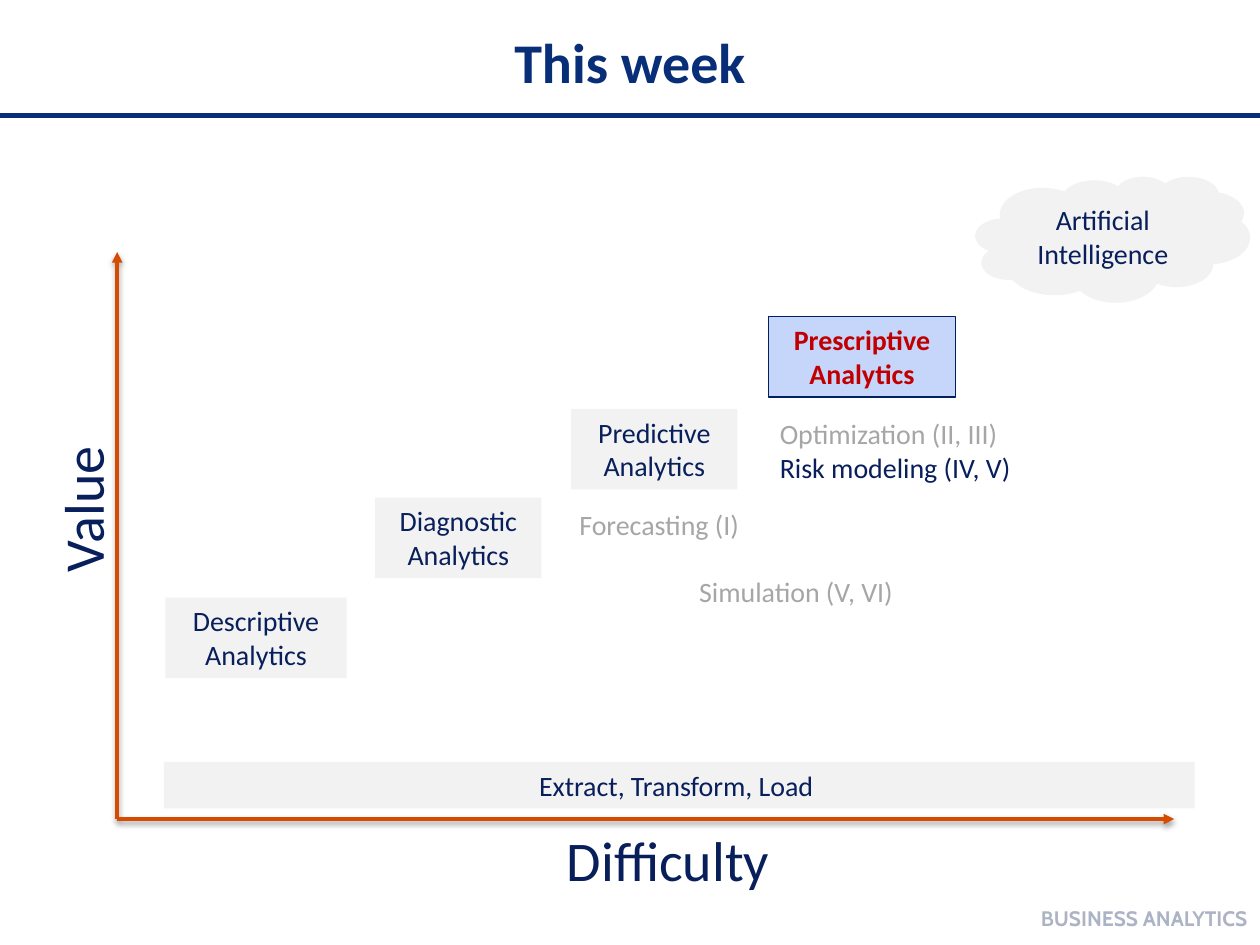
import pptx
import pptx.util
import pptx.dml.color
import pptx.enum.shapes
import pptx.enum.text
import pptx.oxml
import pptx.oxml.ns

Pt = pptx.util.Pt
RGBColor = pptx.dml.color.RGBColor
SHAPE = pptx.enum.shapes.MSO_SHAPE
ALIGN = pptx.enum.text.PP_ALIGN
ANCHOR = pptx.enum.text.MSO_ANCHOR

BLUE = RGBColor(0x09, 0x2E, 0x78)
NAVY = RGBColor(0x08, 0x1F, 0x5B)
FOOTER_NAVY = RGBColor(0x06, 0x19, 0x4C)
OUTLINE_NAVY = RGBColor(0x00, 0x20, 0x60)
ORANGE = RGBColor(0xD6, 0x4B, 0x00)
RED = RGBColor(0xC0, 0x00, 0x00)
PALE_BLUE = RGBColor(0xC6, 0xD5, 0xFA)
PALE_GREY = RGBColor(0xF2, 0xF2, 0xF2)
GREY = RGBColor(0xA6, 0xA6, 0xA6)

AXIS_SHADOW = (
    '<a:outerShdw blurRad="39370" dist="20320" dir="5400000" rotWithShape="0">'
    '<a:srgbClr val="000000"><a:alpha val="38000"/></a:srgbClr></a:outerShdw>'
)


def parse_drawing(tag, attributes="", content=""):
    namespace = pptx.oxml.ns.nsdecls("a")
    return pptx.oxml.parse_xml(f"<a:{tag} {namespace} {attributes}>{content}</a:{tag}>")


def write_lines(shape, lines, size, colors, bold=False, font="Calibri",
                align=ALIGN.LEFT, anchor=ANCHOR.TOP):
    frame = shape.text_frame
    frame.word_wrap = True
    frame.vertical_anchor = anchor
    frame.text = "\n".join(lines)
    for paragraph, color in zip(frame.paragraphs, colors):
        paragraph.alignment = align
        for run in paragraph.runs:
            run.font.name = font
            run.font.size = Pt(size)
            run.font.bold = bold
            run.font.color.rgb = color


def add_label(slide, box, lines, size, colors, **style):
    label = slide.shapes.add_textbox(*map(Pt, box))
    write_lines(label, lines, size, colors, **style)
    return label


def add_block(slide, box, text, kind=SHAPE.RECTANGLE, fill=PALE_GREY,
              outline=None, color=NAVY, bold=False, anchor=ANCHOR.TOP):
    block = slide.shapes.add_shape(kind, *map(Pt, box))
    block.shadow.inherit = False
    block.fill.solid()
    block.fill.fore_color.rgb = fill
    if outline is None:
        block.line.fill.background()
    else:
        block.line.color.rgb = outline
        block.line.width = Pt(0.75)
    write_lines(block, [text], 16, [color], bold=bold, align=ALIGN.CENTER, anchor=anchor)


def add_line(slide, start, end, color, width, effect=""):
    line = slide.shapes.add_connector(
        pptx.enum.shapes.MSO_CONNECTOR.STRAIGHT, *map(Pt, start + end))
    line.line.color.rgb = color
    line.line.width = Pt(width)
    line._element.spPr.append(parse_drawing("effectLst", content=effect))
    return line


def add_axis(slide, start, end):
    axis = add_line(slide, start, end, ORANGE, 2, AXIS_SHADOW)
    axis.line._get_or_add_ln().append(parse_drawing("tailEnd", 'type="triangle"'))


def add_header_and_footer(slide):
    add_line(slide, (0, 66.2), (720, 66.2), BLUE, 3)
    add_label(slide, (36, 12.2, 648, 45.4), ["This week"], 32, [BLUE],
              bold=True, align=ALIGN.CENTER, anchor=ANCHOR.MIDDLE)
    footer = add_label(slide, (480, 510, 240, 28.8), ["BUSINESS ANALYTICS"], 12,
                       [FOOTER_NAVY], bold=True, font="Cabin",
                       align=ALIGN.RIGHT, anchor=ANCHOR.MIDDLE)
    # Fade the footer to one third
    for color in footer._element.iter(pptx.oxml.ns.qn("a:srgbClr")):
        color.append(parse_drawing("alpha", 'val="33000"'))


def add_axes(slide):
    origin = (67, 468)
    add_axis(slide, origin, (67, 144))
    add_axis(slide, origin, (671, 468))
    value = add_label(slide, (-3.6, 260.6, 100.8, 46), ["Value"], 32, [NAVY])
    value.rotation = 270
    add_label(slide, (316.8, 468, 244, 46), ["Difficulty"], 32, [NAVY])


def main():
    presentation = pptx.Presentation()
    presentation.slide_width, presentation.slide_height = Pt(720), Pt(540)
    slide = presentation.slides.add_slide(presentation.slide_layouts[6])

    add_header_and_footer(slide)
    add_axes(slide)

    # Rising steps of analytics
    for name, left, top, width in (
        ("Descriptive", 94.5, 341.5, 103.7),
        ("Diagnostic", 214.4, 284.4, 95),
        ("Predictive", 326.4, 233.7, 95),
    ):
        add_block(slide, (left, top, width, 46), f"{name} Analytics")
    add_block(slide, (439, 180.9, 107.2, 46), "Prescriptive Analytics",
              fill=PALE_BLUE, outline=OUTLINE_NAVY, color=RED, bold=True)

    # Data foundation and the distant goal
    add_block(slide, (93.7, 435.4, 589, 26.6), "Extract, Transform, Load ")
    add_block(slide, (557.3, 100.8, 157, 72), "Artificial Intelligence",
              kind=SHAPE.CLOUD, anchor=ANCHOR.MIDDLE)

    # Course topics
    add_label(slide, (324, 286.6, 139.7, 46), ["Forecasting (I)"], 16, [GREY])
    add_label(slide, (438.5, 234.7, 167, 85),
              ["Optimization (II, III)", "Risk modeling (IV, V)"], 16, [GREY, NAVY])
    add_label(slide, (392.4, 324.7, 167, 26.6), ["Simulation (V, VI)"], 16, [GREY])

    presentation.save("out.pptx")


if __name__ == "__main__":
    main()
